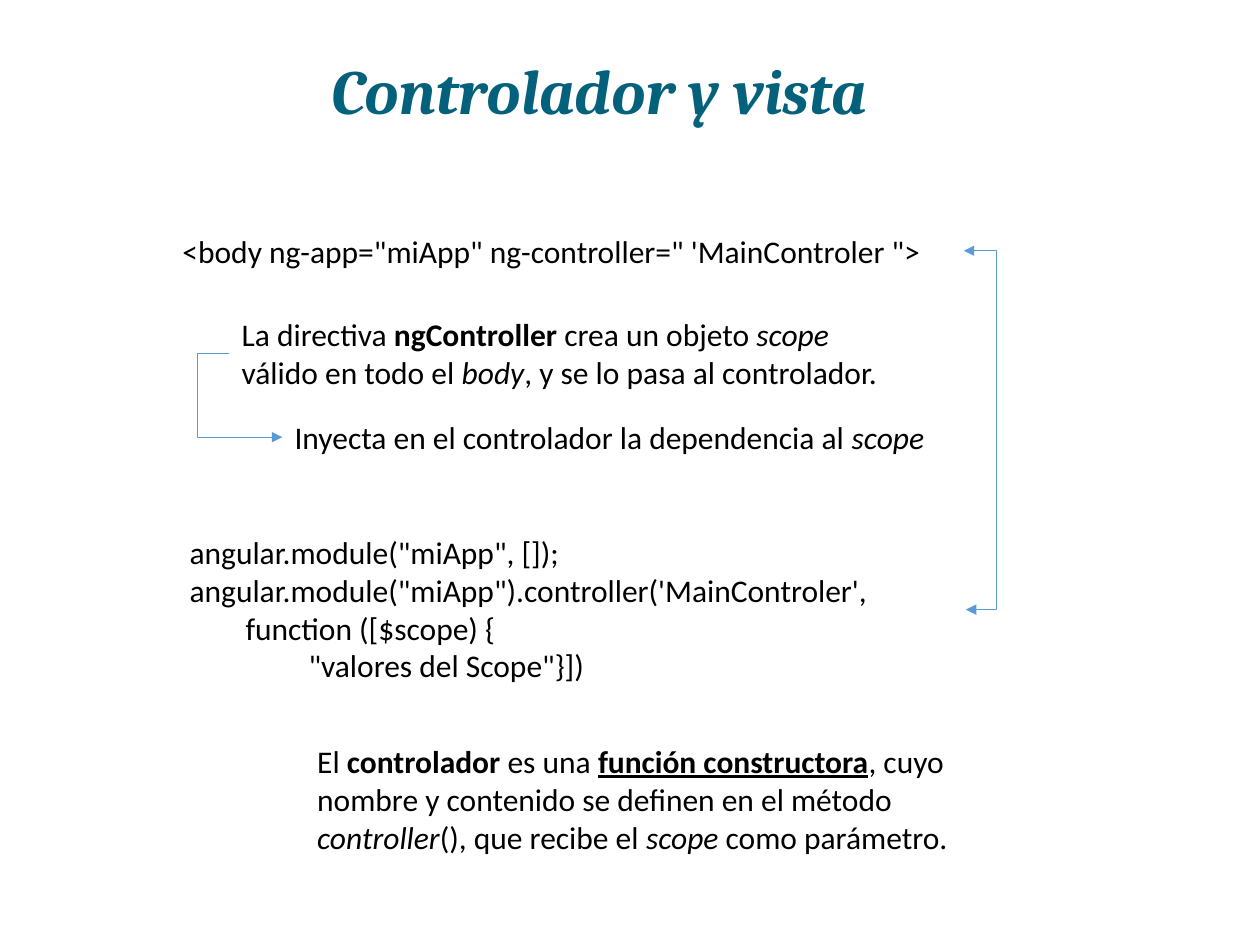
from lxml import etree
from pptx import Presentation
from pptx import util as u
from pptx.dml.color import RGBColor
from pptx.enum import shapes, text
from pptx.oxml.ns import qn

BLACK, TEAL, BLUE = "000000", "04617B", "5B9BD5"


def color(value):
    return RGBColor.from_string(value)


def add_span(para, words, style="", font="Calibri", size=18, ink=BLACK):
    span = para.add_run()
    span.text = words
    span.font.name = font
    span.font.size = u.Pt(size)
    span.font.color.rgb = color(ink)
    span.font.bold = "b" in style
    span.font.italic = "i" in style
    span.font.underline = "u" in style


def add_box(page, left, top, width, height, wrap=True):
    box = page.shapes.add_textbox(u.Pt(left), u.Pt(top), u.Pt(width), u.Pt(height))
    frame = box.text_frame
    frame.word_wrap = wrap
    frame.auto_size = text.MSO_AUTO_SIZE.SHAPE_TO_FIT_TEXT
    return frame


def add_title(page, words):
    frame = add_box(page, 49.7, 28.8, 585.4, 50.4)
    frame.auto_size = text.MSO_AUTO_SIZE.NONE
    frame.vertical_anchor = text.MSO_ANCHOR.MIDDLE
    para = frame.paragraphs[0]
    para.alignment = text.PP_ALIGN.CENTER
    para.line_spacing = 0.9
    add_span(para, words, "bi", "Cambria", 36, TEAL)


def add_note(page, place, spans, wrap=True):
    para = add_box(page, *place, wrap=wrap).paragraphs[0]
    for words, style in spans:
        add_span(para, words, style)


def add_code(page, place, paragraphs):
    frame = add_box(page, *place)
    for index, lines in enumerate(paragraphs):
        para = frame.add_paragraph() if index else frame.paragraphs[0]
        for number, line in enumerate(lines):
            if number:
                para.add_line_break()
            add_span(para, line)


def add_bent_arrow(page, start, end, bend, ends):
    link = page.shapes.add_connector(
        shapes.MSO_CONNECTOR.ELBOW, *(u.Pt(value) for value in start + end))
    link.line.color.rgb = color(BLUE)
    link.line.width = u.Pt(0.5)
    ratio = (bend - start[0]) / (end[0] - start[0])
    properties = link._element.spPr
    guides = properties.find(qn("a:prstGeom")).get_or_add_avLst()
    etree.SubElement(guides, qn("a:gd"), name="adj1", fmla=f"val {round(ratio * 100000)}")
    outline = link.line._get_or_add_ln()
    for side in ends:
        etree.SubElement(outline, qn(f"a:{side}"), type="triangle")
    etree.SubElement(properties, qn("a:effectLst"))


def main():
    deck = Presentation()
    deck.slide_width, deck.slide_height = u.Pt(720), u.Pt(540)
    page = deck.slides.add_slide(deck.slide_layouts[6])

    add_title(page, "Controlador y vista")
    add_note(page, (174.2, 420.5, 415.4, 72.7), [
        ("El ", ""), ("controlador", "b"), (" es una ", ""),
        ("función constructora", "bu"),
        (", cuyo nombre y contenido se definen en el método ", ""),
        ("controller", "i"), ("(), que recibe el ", ""),
        ("scope", "i"), (" como parámetro.", "")])
    add_code(page, (97.2, 301, 455, 94.3), [
        [' angular.module("miApp", []);'],
        [""" angular.module("miApp").controller('MainControler',""",
         "\tfunction ([$scope) {"],
        ['\t\t"valores del Scope"}])']])
    add_note(page, (131, 176.4, 380.9, 51.1), [
        ("La directiva ", ""), ("ngController", "b"),
        (" crea un objeto ", ""), ("scope", "i"),
        (" válido en todo el ", ""), ("body", "i"),
        (", y se lo pasa al controlador.", "")])
    add_code(page, (97.2, 128.9, 453.6, 28.8), [
        ["""<body ng-app="miApp" ng-controller=" 'MainControler ">"""]])
    add_note(page, (161.3, 235.4, 379.4, 28.8), [
        ("Inyecta en el controlador la dependencia al ", ""), ("scope", "i")], wrap=False)

    add_bent_arrow(page, (552, 348.4), (550.8, 143.3), 569.5, ("headEnd", "tailEnd"))
    add_bent_arrow(page, (131, 202.2), (161.3, 249.8), 113, ("tailEnd",))
    deck.save("out.pptx")


if __name__ == "__main__":
    main()
